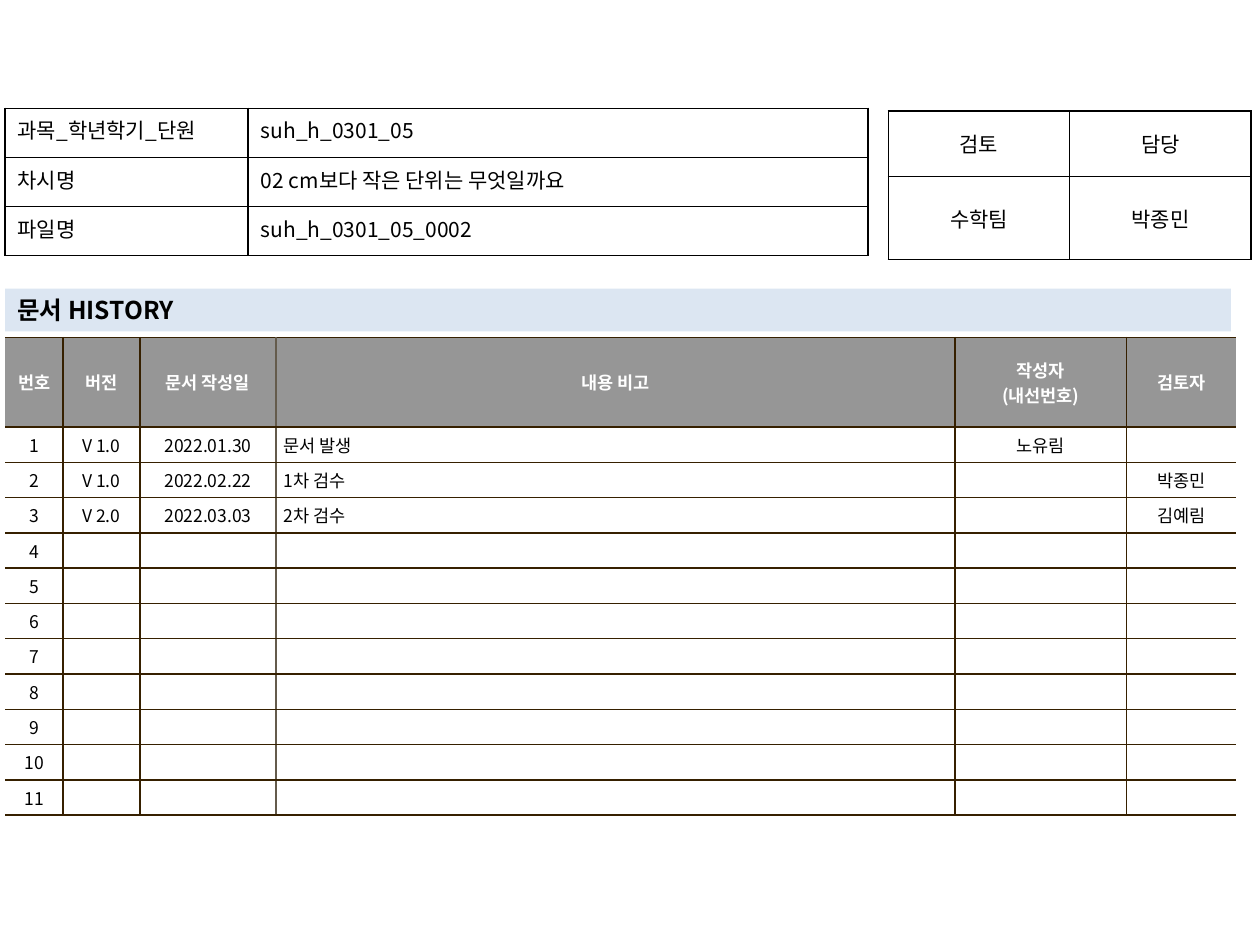
from lxml import etree
from pptx import Presentation
from pptx.dml.color import RGBColor
from pptx.enum.shapes import MSO_SHAPE
from pptx.enum.text import MSO_ANCHOR, PP_ALIGN
from pptx.oxml.ns import qn
from pptx.util import Inches, Pt

RECTANGLE = MSO_SHAPE.RECTANGLE
TOP, MIDDLE = MSO_ANCHOR.TOP, MSO_ANCHOR.MIDDLE
LEFT, CENTER, JUSTIFY = PP_ALIGN.LEFT, PP_ALIGN.CENTER, PP_ALIGN.JUSTIFY

FONT = "Noto Sans CJK KR"
COLORS = {
    "black": "000000",
    "white": "FFFFFF",
    "header": "969696",
    "banner": "DCE6F2",
    "brown": "362000",
    "taupe": "645B4C",
}
ALL_SIDES = dict.fromkeys("LRTB", "black")

DOCUMENT_INFO = [
    ["과목_학년학기_단원", "suh_h_0301_05"],
    ["차시명", "02 cm보다 작은 단위는 무엇일까요"],
    ["파일명", "suh_h_0301_05_0002"],
]
APPROVAL = [["검토", "담당"], ["수학팀", "박종민"]]
HISTORY_HEADER = ["번호", "버전", "문서 작성일", "내용 비고", "작성자\n(내선번호)", "검토자"]
HISTORY_ENTRIES = [
    ["V 1.0", "2022.01.30", "문서 발생", "노유림", ""],
    ["V 1.0", "2022.02.22", "1차 검수", "", "박종민"],
    ["V 2.0", "2022.03.03", "2차 검수", "", "김예림"],
]
HISTORY_LENGTH = 11
NOTE_COLUMN = 3


def rgb(name):
    return RGBColor.from_string(COLORS[name])


def write(frame, text, size, color="black", bold=False, align=LEFT):
    frame.text = text
    for paragraph in frame.paragraphs:
        paragraph.alignment = align
        if not paragraph.runs:
            # Keeps an empty cell from taking the height of the default size.
            paragraph._p.get_or_add_endParaRPr().set("sz", str(size * 100))
        for run in paragraph.runs:
            for name, value in {"size": Pt(size), "bold": bold, "name": FONT}.items():
                setattr(run.font, name, value)
            run.font.color.rgb = rgb(color)
            east_asian = etree.SubElement(run._r.get_or_add_rPr(), qn("a:ea"))
            east_asian.set("typeface", FONT)


def draw_borders(cell, sides):
    """Draw 1 pt borders; sides maps L, R, T and B to colour names."""
    properties = cell._tc.get_or_add_tcPr()
    for side in "LRTB":
        line = etree.SubElement(properties, qn(f"a:ln{side}"), w=str(Pt(1)))
        if side in sides:
            fill = etree.SubElement(line, qn("a:solidFill"))
            etree.SubElement(fill, qn("a:srgbClr"), val=COLORS[sides[side]])
        else:
            etree.SubElement(line, qn("a:noFill"))


def set_cell(cell, text, size, borders, fill=None, anchor=MIDDLE,
             margins=(0.1, 0.05), **text_format):
    across, down = map(Inches, margins)
    layout = {
        "margin_left": across, "margin_right": across,
        "margin_top": down, "margin_bottom": down,
        "vertical_anchor": anchor,
    }
    for name, value in layout.items():
        setattr(cell, name, value)
    write(cell.text_frame, text, size, **text_format)
    draw_borders(cell, borders)
    if fill:
        cell.fill.solid()
        cell.fill.fore_color.rgb = rgb(fill)
    else:
        cell.fill.background()


def add_grid(slide, left, top, widths, heights):
    """Add a table without style bands."""
    table = slide.shapes.add_table(
        len(heights), len(widths), Inches(left), Inches(top),
        Inches(sum(widths)), Inches(sum(heights))).table
    table.first_row = table.horz_banding = False
    for column, width in zip(table.columns, widths):
        column.width = Inches(width)
    for row, height in zip(table.rows, heights):
        row.height = Inches(height)
    return table


def add_document_info(slide):
    table = add_grid(slide, 0.04, 0.86, [1.93, 4.92], [0.39] * len(DOCUMENT_INFO))
    for r, (label, value) in enumerate(DOCUMENT_INFO):
        set_cell(table.cell(r, 0), label, 12, ALL_SIDES, anchor=TOP, align=JUSTIFY)
        set_cell(table.cell(r, 1), value, 12, ALL_SIDES, anchor=TOP)


def add_approval(slide):
    table = add_grid(slide, 7.05, 0.88, [1.44, 1.44], [0.52, 0.66])
    for r, texts in enumerate(APPROVAL):
        for c, text in enumerate(texts):
            set_cell(table.cell(r, c), text, 12, ALL_SIDES, align=CENTER)


def add_banner(slide):
    banner = slide.shapes.add_shape(
        RECTANGLE, Inches(0.04), Inches(2.29), Inches(9.73), Inches(0.34))
    banner.shadow.inherit = False
    banner.fill.solid()
    banner.fill.fore_color.rgb = rgb("banner")
    banner.line.fill.background()
    banner.text_frame.word_wrap = True
    write(banner.text_frame, "문서 HISTORY", 14, bold=True)


def history_borders(column):
    """Leave the outer sides open and set off the note column's left edge."""
    sides = {"T": "brown", "B": "brown"}
    if column > 0:
        sides["L"] = "taupe" if column == NOTE_COLUMN else "brown"
    if column < len(HISTORY_HEADER) - 1:
        sides["R"] = "taupe" if column + 1 == NOTE_COLUMN else "brown"
    return sides


def add_history(slide):
    table = add_grid(slide, 0.04, 2.68, [0.46, 0.61, 1.08, 5.39, 1.36, 0.87],
                     [0.71] + [0.25] * HISTORY_LENGTH)
    blank = [""] * (len(HISTORY_HEADER) - 1)
    entries = HISTORY_ENTRIES + [blank] * (HISTORY_LENGTH - len(HISTORY_ENTRIES))
    rows = [HISTORY_HEADER] + [[str(n), *entry] for n, entry in enumerate(entries, 1)]
    header_look = {"fill": "header", "color": "white", "bold": True}
    for r, texts in enumerate(rows):
        look = {"fill": "white"} if r else header_look
        for c, text in enumerate(texts):
            align = LEFT if r and c == NOTE_COLUMN else CENTER
            set_cell(table.cell(r, c), text, 10, history_borders(c),
                     margins=(0.06, 0.04), align=align, **look)


def main():
    presentation = Presentation()
    presentation.slide_width = Inches(10)
    presentation.slide_height = Inches(7.5)
    slide = presentation.slides.add_slide(presentation.slide_layouts[6])
    add_history(slide)
    add_approval(slide)
    add_banner(slide)
    add_document_info(slide)
    presentation.save("out.pptx")


if __name__ == "__main__":
    main()
